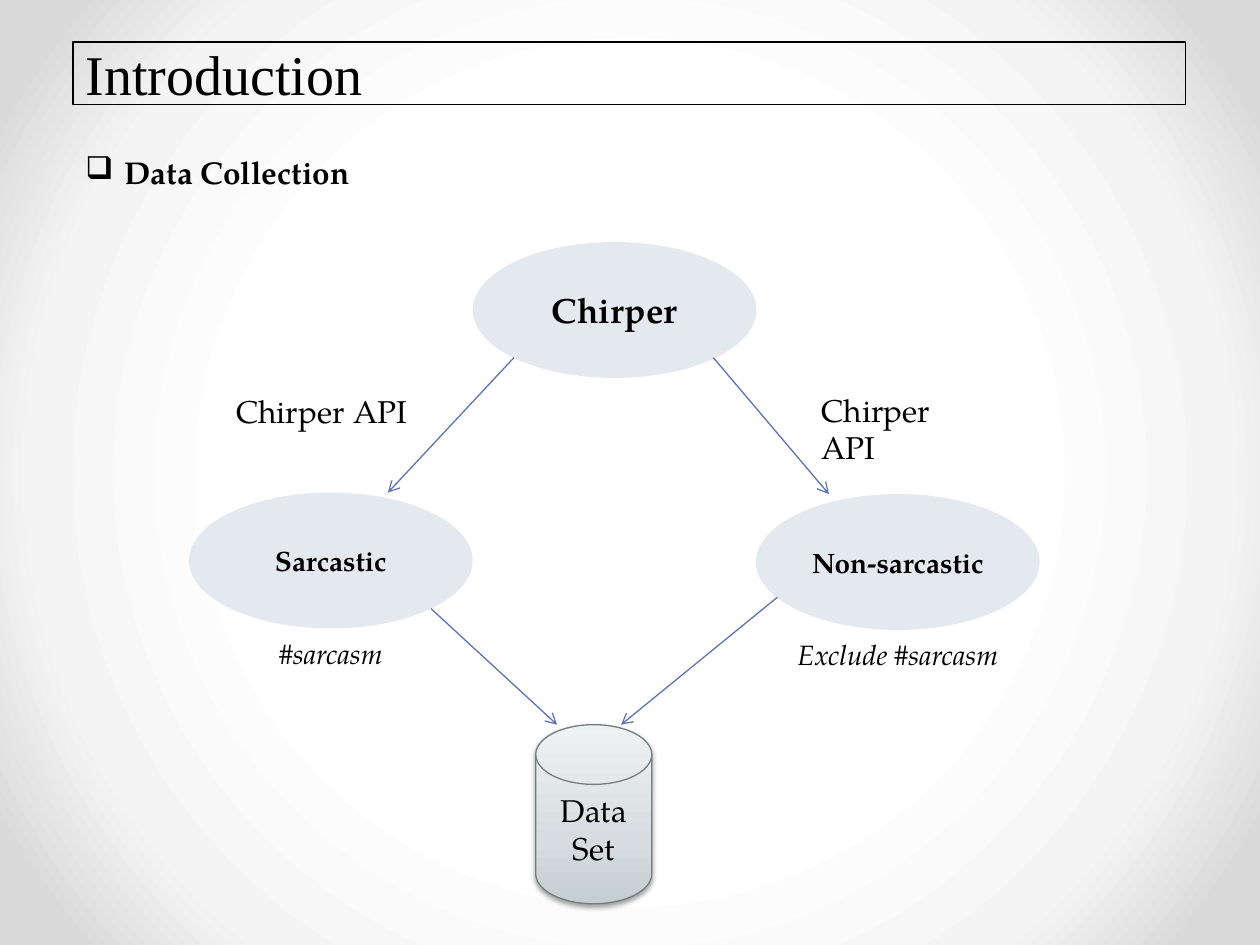
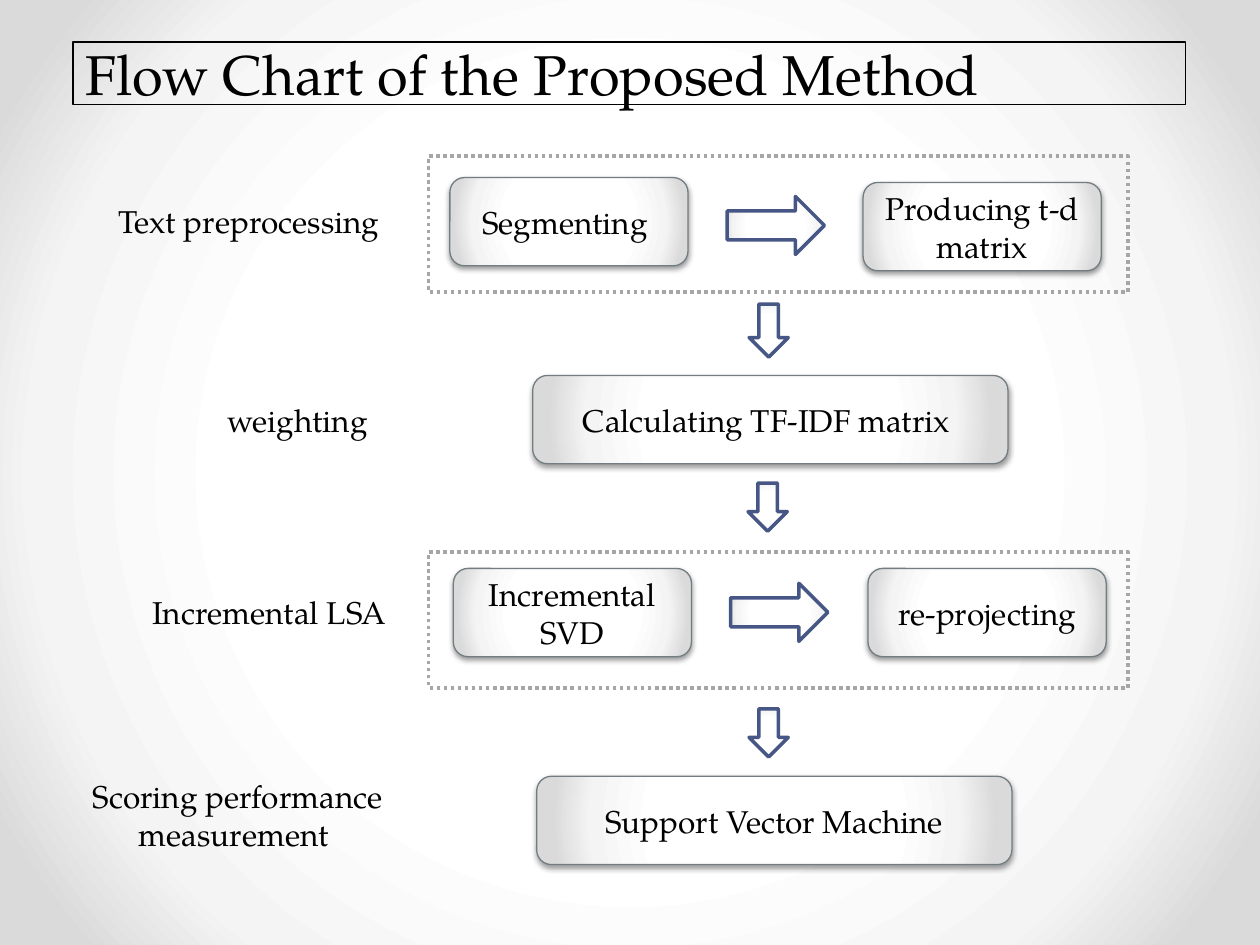
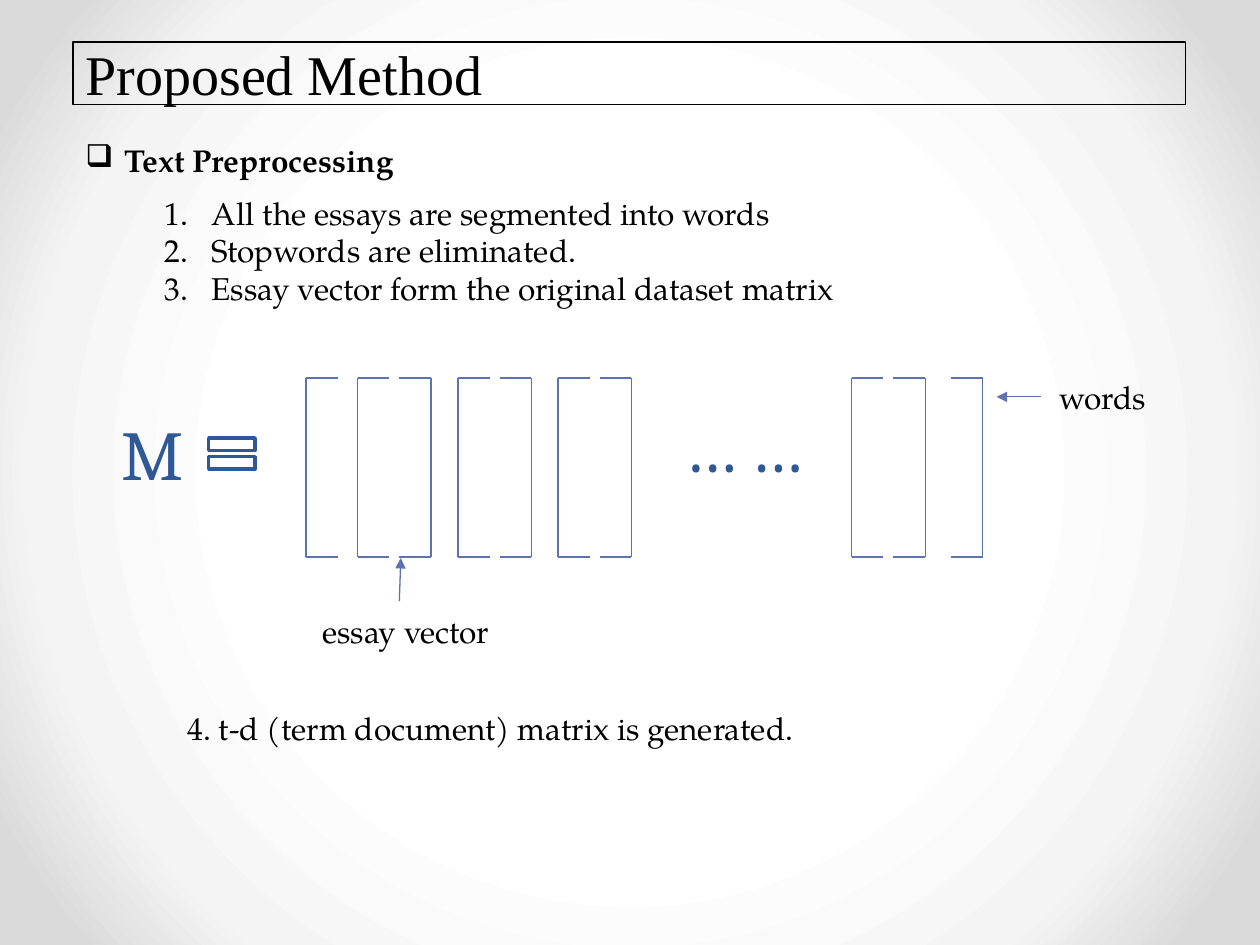
"""Build three slides on collecting tweets and preprocessing their text."""
from dataclasses import dataclass
from typing import NamedTuple, Optional

from lxml import etree
from pptx import Presentation
from pptx import oxml as ox
from pptx import util as u
from pptx.dml.color import RGBColor
from pptx.enum import dml, shapes, text
from pptx.oxml import ns

SHAPE = shapes.MSO_SHAPE
LEFT, CENTER, RIGHT = text.PP_ALIGN.LEFT, text.PP_ALIGN.CENTER, text.PP_ALIGN.RIGHT


class Gradient(NamedTuple):
    stops: tuple[tuple[int, str], ...]
    direction: str


class Area(NamedTuple):
    left: float
    top: float
    width: float
    height: float

    def lengths(self) -> list[u.Length]:
        return [u.Cm(value) for value in self]


@dataclass(frozen=True)
class Theme:
    body_font: str = "TeX Gyre Pagella"
    title_font: str = "Times New Roman"
    math_font: str = "Cambria"
    title_size: int = 32
    body_size: int = 18
    source_size: int = 20
    note_size: int = 16
    math_size: int = 40
    ink: str = "000000"
    ellipse: str = "E4E9EF"
    link: str = "5C72B2"
    math: str = "2F5897"
    arrow: str = "475785"
    edge: str = "727D82"
    group: str = "A6A6A6"
    thin: float = 0.75
    thick: float = 2
    glow: Gradient = Gradient(
        ((50, "FFFFFF"), (76, "F4F4F4"), (92, "DADADA")),
        '<a:path path="circle"><a:fillToRect l="50000" t="50000" r="50000" b="50000"/></a:path>')
    steel: Gradient = Gradient(
        ((0, "C5CED2"), (35, "D6DCDF"), (100, "EFF2F3")), '<a:lin ang="16200000" scaled="0"/>')


THEME = Theme()


@dataclass(frozen=True)
class Words:
    lines: tuple[str, ...]
    size: int = THEME.body_size
    font: str = THEME.body_font
    colour: str = THEME.ink
    bold: bool = False
    italic: bool = False
    align: text.PP_ALIGN = LEFT
    bullet: str = ""
    indent: float = 0


@dataclass(frozen=True)
class Look:
    fill: Optional[str | Gradient] = None
    line: Optional[str] = None
    weight: float = THEME.thin
    dotted: bool = False
    shadow: bool = False


@dataclass(frozen=True)
class Label:
    area: Area
    words: Words
    wrap: bool = True


@dataclass(frozen=True)
class Figure:
    kind: shapes.MSO_SHAPE
    area: Area
    look: Look
    words: Optional[Words] = None
    turn: int = 0


@dataclass(frozen=True)
class Link:
    start: tuple[float, float]
    end: tuple[float, float]
    head: str = ""


ELLIPSE = Look(THEME.ellipse)
STEP = Look(THEME.glow, THEME.edge, shadow=True)
STORE = Look(THEME.steel, THEME.edge, shadow=True)
GROUP = Look(line=THEME.group, weight=THEME.thick, dotted=True)
FLOW = Look(THEME.glow, THEME.arrow, THEME.thick)
EQUAL = Look(line=THEME.math, weight=THEME.thick)


def rgb(colour: str) -> RGBColor:
    """Turn a hex code into a colour."""
    return RGBColor.from_string(colour)


def xml(tag: str, attributes: str, content: str):
    """Parse one drawing element."""
    return ox.parse_xml(f"<a:{tag} {ns.nsdecls('a')} {attributes}>{content}</a:{tag}>")


def paint(fill, element, gradient: Gradient) -> None:
    """Give the element a gradient of its own direction."""
    fill.gradient()
    stops = "".join(f'<a:gs pos="{at * 1000}"><a:srgbClr val="{colour}"/></a:gs>'
                    for at, colour in gradient.stops)
    plain = element.xpath(".//a:gradFill")[0]
    plain.getparent().replace(plain, xml(
        "gradFill", 'rotWithShape="1"', f"<a:gsLst>{stops}</a:gsLst>{gradient.direction}"))


def write(frame, words: Words) -> None:
    """Write each line as a paragraph with one formatted run."""
    for index, line in enumerate(words.lines):
        paragraph = frame.add_paragraph() if index else frame.paragraphs[0]
        paragraph.alignment = words.align
        if words.bullet:
            properties = paragraph._p.get_or_add_pPr()
            properties.set("marL", str(u.Cm(words.indent)))
            properties.set("indent", str(-u.Cm(words.indent)))
            properties.append(ox.parse_xml(words.bullet))
        run = paragraph.add_run()
        run.text = line
        font = run.font
        font.name, font.size = words.font, u.Pt(words.size)
        font.bold, font.italic = words.bold, words.italic
        font.color.rgb = rgb(words.colour)


def bullet(tag: str, attribute: str) -> str:
    """Describe a bullet element."""
    return f"<a:{tag} {ns.nsdecls('a')} {attribute}/>"


def label(slide, item: Label) -> None:
    """Draw a text box that grows with its text."""
    box = slide.shapes.add_textbox(*item.area.lengths())
    box.text_frame.word_wrap = item.wrap
    box.text_frame.auto_size = text.MSO_AUTO_SIZE.SHAPE_TO_FIT_TEXT
    write(box.text_frame, item.words)


def style(shape, look: Look) -> None:
    """Apply fill, outline and shadow."""
    if isinstance(look.fill, Gradient):
        paint(shape.fill, shape.element, look.fill)
    elif look.fill:
        shape.fill.solid()
        shape.fill.fore_color.rgb = rgb(look.fill)
    else:
        shape.fill.background()
    if look.line:
        shape.line.color.rgb = rgb(look.line)
        shape.line.width = u.Pt(look.weight)
    else:
        shape.line.fill.background()
    if look.dotted:
        shape.line.dash_style = dml.MSO_LINE.ROUND_DOT
    shape.shadow.inherit = False
    if look.shadow:
        shape.element.xpath("p:spPr/a:effectLst")[0].append(xml(
            "outerShdw", f'blurRad="{u.Pt(3.1)}" dist="{u.Pt(1.6)}" dir="5400000" rotWithShape="0"',
            f'<a:srgbClr val="{THEME.ink}"><a:alpha val="38000"/></a:srgbClr>'))


def figure(slide, item: Figure) -> None:
    """Draw a preset shape with optional text."""
    shape = slide.shapes.add_shape(item.kind, *item.area.lengths())
    shape.rotation = item.turn
    style(shape, item.look)
    if item.words:
        shape.text_frame.vertical_anchor = text.MSO_ANCHOR.MIDDLE
        write(shape.text_frame, item.words)


def link(slide, item: Link) -> None:
    """Draw a straight line with an optional arrowhead."""
    ends = [u.Cm(value) for value in (*item.start, *item.end)]
    connector = slide.shapes.add_connector(shapes.MSO_CONNECTOR.STRAIGHT, *ends)
    connector.line.color.rgb = rgb(THEME.link)
    connector.line.width = u.Pt(THEME.thin)
    properties = connector.element.spPr
    if item.head:
        etree.SubElement(properties.find(ns.qn("a:ln")), ns.qn("a:tailEnd"), type=item.head)
    etree.SubElement(properties, ns.qn("a:effectLst"))


def titled_slide(deck, title: str, font: str = THEME.title_font):
    """Add a slide with the framed title."""
    slide = deck.slides.add_slide(deck.slide_layouts[5])
    heading = slide.shapes.title
    heading.left, heading.top, heading.width, heading.height = Area(1.47, 0.84, 22.43, 1.27).lengths()
    heading.line.color.rgb = rgb(THEME.ink)
    heading.line.width = u.Pt(1)
    heading.text_frame.vertical_anchor = text.MSO_ANCHOR.MIDDLE
    heading.text_frame.auto_size = text.MSO_AUTO_SIZE.NONE
    write(heading.text_frame, Words((title,), THEME.title_size, font))
    return slide


def section(slide, topic: str, top: float) -> None:
    """Write a section heading with a box bullet."""
    label(slide, Label(Area(1.47, top, 14.99, 1.02), Words(
        (topic,), bold=True, bullet=bullet("buChar", 'char="❑"'), indent=0.79)))


def collection_slide(deck) -> None:
    """Show how the data set is collected."""
    slide = titled_slide(deck, "Introduction")
    for name, left, top, size in (("Chirper", 9.53, 4.88, THEME.source_size),
                                  ("Sarcastic", 3.81, 9.93, THEME.note_size),
                                  ("Non-sarcastic", 15.24, 9.96, THEME.note_size)):
        figure(slide, Figure(SHAPE.OVAL, Area(left, top, 5.72, 2.74), ELLIPSE,
                             Words((name,), size, bold=True, align=CENTER)))
    for start, end in (((10.36, 7.21), (7.82, 9.93)), ((14.38, 7.21), (16.71, 9.96)),
                       ((8.69, 12.27), (11.23, 14.61)), ((15.67, 12.04), (12.52, 14.61))):
        link(slide, Link(start, end, "arrow"))
    for area, align in ((Area(4.45, 7.77, 4.01, 1.02), RIGHT), (Area(16.31, 7.75, 3.81, 1.02), LEFT)):
        label(slide, Label(area, Words(("Chirper API",), align=align)))
    for query, area in (("#sarcasm", Area(5.08, 12.7, 3.18, 0.94)),
                        ("Exclude #sarcasm", Area(15.24, 12.73, 5.72, 0.94))):
        label(slide, Label(area, Words((query,), THEME.note_size, italic=True, align=CENTER)))
    figure(slide, Figure(SHAPE.FLOWCHART_MAGNETIC_DISK, Area(10.8, 14.61, 2.34, 3.61), STORE,
                         Words(("Data Set",), align=CENTER)))
    section(slide, "Data Collection", 2.97)


def flow_slide(deck) -> None:
    """Show the four stages of the method."""
    slide = titled_slide(deck, "Flow Chart of the Proposed Method", THEME.body_font)
    for lines, area in ((("Text preprocessing",), Area(2.13, 3.94, 5.87, 1.02)),
                        (("weighting",), Area(4.34, 7.95, 3.38, 1.02)),
                        (("Incremental LSA",), Area(2.82, 11.84, 5.31, 1.02)),
                        (("Scoring performance", "measurement "), Area(1.57, 15.54, 6.45, 1.8))):
        align = CENTER if len(lines) > 1 else LEFT
        label(slide, Label(area, Words(lines, align=align), wrap=False))
    for top in (3.15, 11.13):
        figure(slide, Figure(SHAPE.RECTANGLE, Area(8.64, top, 14.1, 2.74), GROUP))
    for step, left, top, width in (("Segmenting ", 9.07, 3.58, 4.8),
                                   ("Producing t-d matrix", 17.4, 3.68, 4.8),
                                   ("Calculating TF-IDF matrix ", 10.74, 7.57, 9.58),
                                   ("Incremental SVD", 9.14, 11.46, 4.8),
                                   ("re-projecting", 17.5, 11.46, 4.8),
                                   ("Support Vector Machine", 10.82, 15.65, 9.58)):
        figure(slide, Figure(SHAPE.ROUNDED_RECTANGLE, Area(left, top, width, 1.78), STEP,
                             Words((step,), align=CENTER)))
    for area, turn in ((Area(14.66, 3.96, 1.96, 1.17), 0), (Area(14.73, 11.76, 1.96, 1.17), 0),
                       (Area(14.96, 6.27, 1.07, 0.79), 90), (Area(14.99, 9.83, 0.97, 0.79), 90),
                       (Area(15.01, 14.38, 0.97, 0.79), 90)):
        figure(slide, Figure(SHAPE.RIGHT_ARROW, area, FLOW, turn=turn))


def bracket(slide, spine: float, arm: float) -> None:
    """Draw a square bracket whose arms reach sideways from the spine."""
    top, bottom = 7.62, 11.23
    link(slide, Link((spine, top), (spine, bottom)))
    for level in (top, bottom):
        link(slide, Link((spine, level), (spine + arm, level)))


def preprocessing_slide(deck) -> None:
    """Show the essay vectors that make up the matrix."""
    slide = titled_slide(deck, "Proposed Method")
    section(slide, "Text Preprocessing", 2.72)
    label(slide, Label(Area(3.07, 3.78, 14.2, 2.57), Words(
        ("All the essays are segmented into words", "Stopwords are eliminated.",
         "Essay vector form the original dataset matrix"),
        bullet=bullet("buAutoNum", 'type="arabicPeriod"'), indent=0.95), wrap=False))

    arm, vector_width = 0.64, 1.48
    vectors = [7.21 + 2.02 * index for index in range(3)] + [17.17]
    for opening in (6.17, *vectors):
        bracket(slide, opening, arm)
    for closing in (*(left + vector_width for left in vectors), 19.81):
        bracket(slide, closing, -arm)

    for symbol, area, align, wrap in (("M", Area(1.65, 8.15, 2.84, 1.96), CENTER, True),
                                      ("… …", Area(13.54, 8, 3.28, 1.96), LEFT, False)):
        label(slide, Label(area, Words((symbol,), THEME.math_size, THEME.math_font,
                                       THEME.math, align=align), wrap))
    figure(slide, Figure(SHAPE.MATH_EQUAL, Area(4.04, 8.61, 1.27, 1.07), EQUAL))
    link(slide, Link((8.05, 12.12), (8.08, 11.25), "triangle"))
    link(slide, Link((20.98, 8), (20.09, 8), "triangle"))
    for part, area, wrap in (
            ("essay vector", Area(6.25, 12.22, 4.11, 1.02), False),
            ("words", Area(21.11, 7.49, 2.31, 1.02), False),
            ("4. t-d (term document) matrix is generated.", Area(3.53, 14.17, 17.55, 1.02), True)):
        label(slide, Label(area, Words((part,)), wrap))


def main() -> None:
    """Build and save the deck."""
    deck = Presentation()
    deck.slide_width, deck.slide_height = u.Cm(25.4), u.Cm(19.05)
    master = deck.slide_master
    paint(master.background.fill, master.element, THEME.glow)
    collection_slide(deck)
    flow_slide(deck)
    preprocessing_slide(deck)
    deck.save("out.pptx")


if __name__ == "__main__":
    main()
